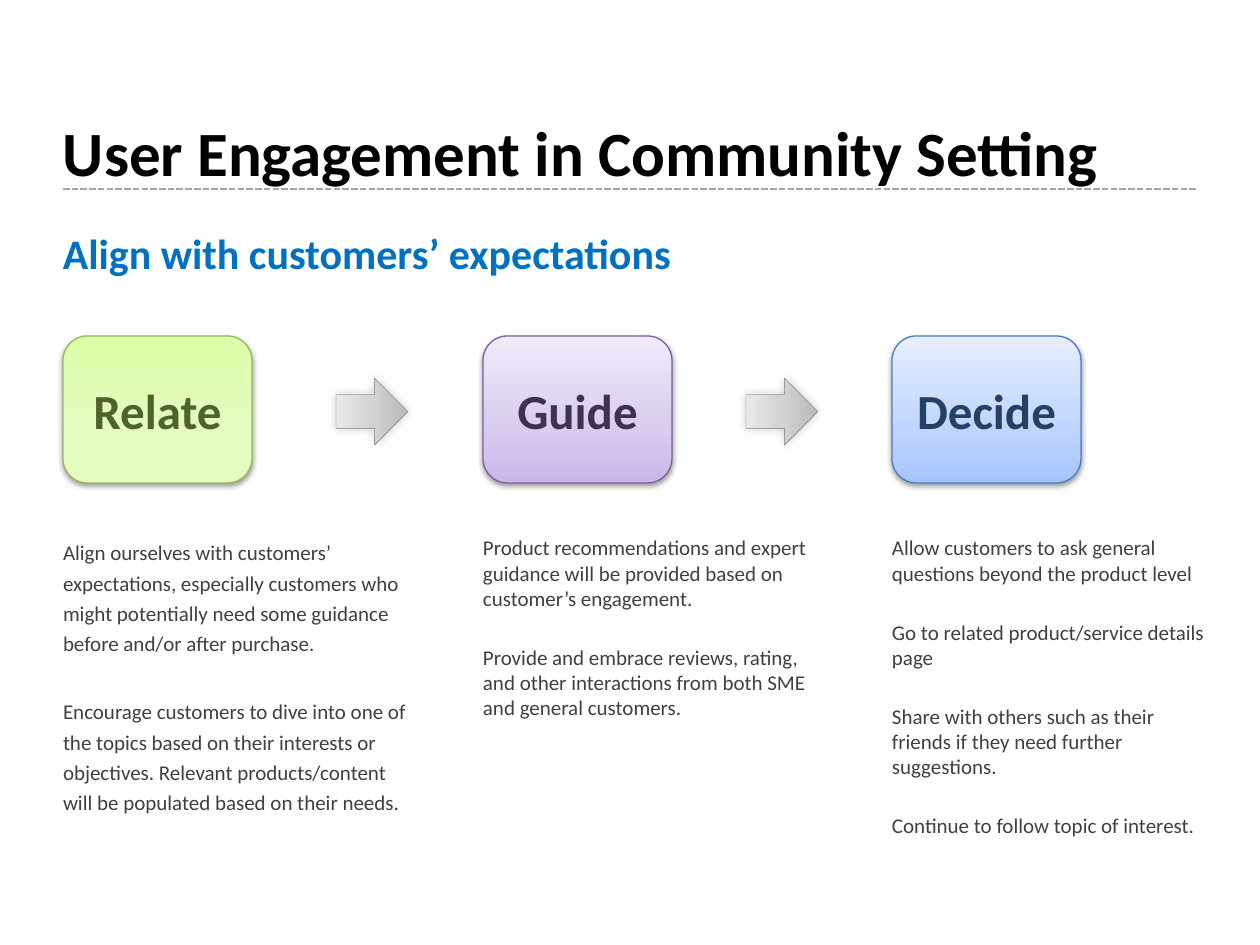
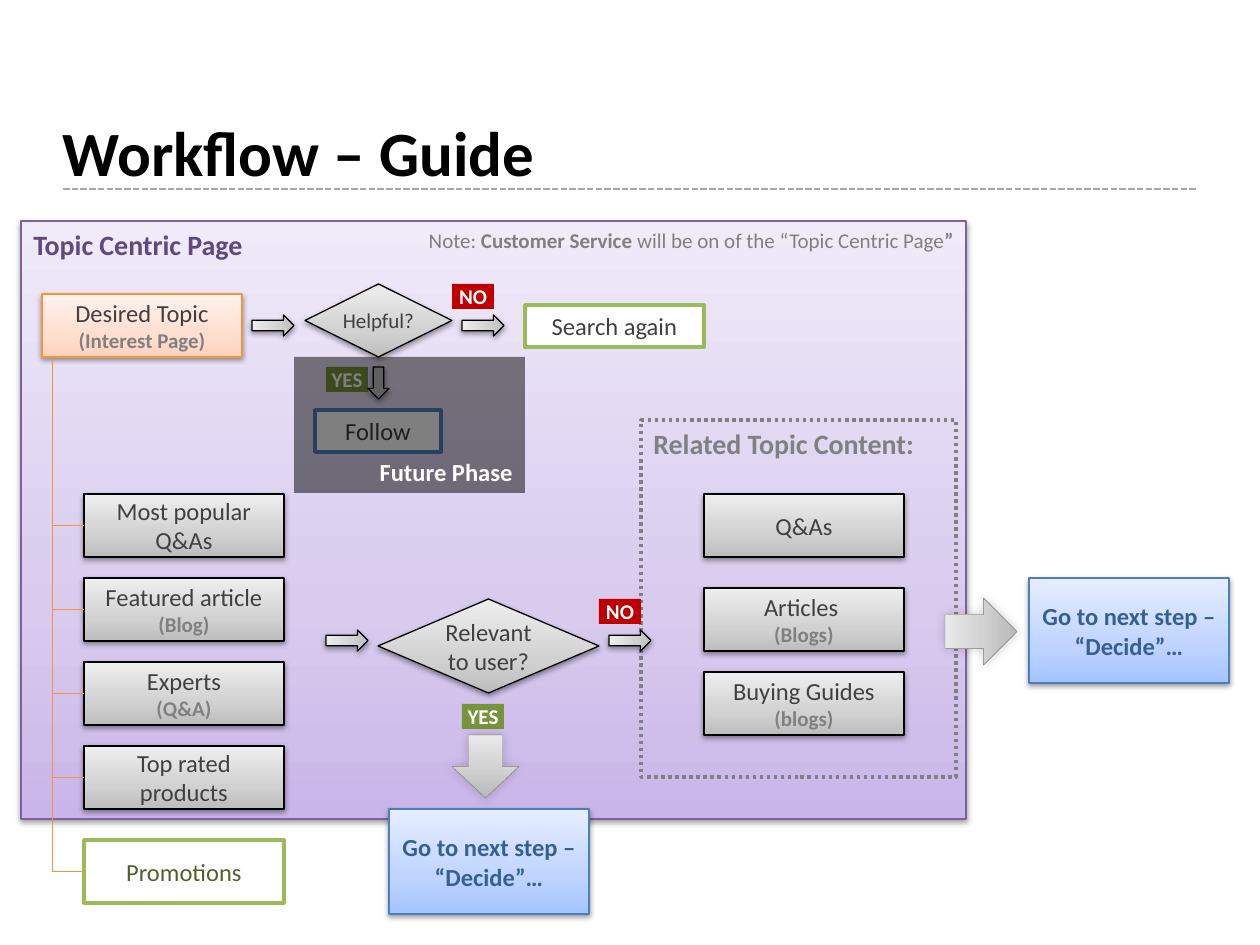
from collections import namedtuple

from lxml import etree
from pptx import Presentation
from pptx.dml.color import RGBColor
from pptx.enum.dml import MSO_LINE
from pptx.enum.shapes import MSO_CONNECTOR, MSO_SHAPE
from pptx.enum.text import MSO_ANCHOR, PP_ALIGN
from pptx.oxml.ns import qn
from pptx.util import Emu, Inches, Pt

RECT, ROUNDED = MSO_SHAPE.RECTANGLE, MSO_SHAPE.ROUNDED_RECTANGLE
DECISION, DOWN_ARROW = MSO_SHAPE.FLOWCHART_DECISION, MSO_SHAPE.DOWN_ARROW
STRAIGHT = MSO_CONNECTOR.STRAIGHT
DASHED, DOTTED = MSO_LINE.SQUARE_DOT, MSO_LINE.ROUND_DOT
LEFT, CENTER, RIGHT = PP_ALIGN.LEFT, PP_ALIGN.CENTER, PP_ALIGN.RIGHT
TOP, MIDDLE, BOTTOM = MSO_ANCHOR.TOP, MSO_ANCHOR.MIDDLE, MSO_ANCHOR.BOTTOM

SCALE = 914400 / 126
FONT = "Calibri"
WHITE, BLACK, DARK, GRAY = "FFFFFF", "000000", "404040", "808080"
PURPLE_EDGE, BLUE_EDGE, ORANGE, GREEN = "7D60A0", "4B7EBC", "F69240", "9BBB59"
YES_GREEN, NO_RED = "77933C", "C00000"
GREEN_FADE = ((35, "E4FCC2"), (100, "DAFDA7"), (100, "F5FFE7"))
PURPLE_FADE = ((0, "C9B5E8"), (35, "D8CBEE"), (100, "F0EAF9"))
BLUE_FADE = ((0, "A4C4FF"), (35, "BFD4FF"), (100, "E6EEFF"))
ORANGE_FADE = ((0, "FFD2BD"), (35, "FFDED0"), (100, "FFF2ED"))
GRAY_FADE = ((0, "BDBDBD"), (35, "D1D1D1"), (100, "EEEEEE"))
ARROW_FADE = ((0, "B8B8B8"), (50, "D3D3D3"), (100, "E9E9E9"))

Shadow = namedtuple("Shadow", "opacity blur distance angle")
DROP = Shadow(38, 3.15, 1.57, 90)
HALO = Shadow(20, 6, 0, 225)

Style = namedtuple("Style", "size color bold", defaults=(False,))
TITLE, SUBTITLE = Style(36, BLACK, True), Style(24, "0070C0", True)
BODY, LABEL = Style(12, DARK), Style(14, DARK)
DETAIL, TAG = Style(12, GRAY, True), Style(12, WHITE, True)
NOTE = Style(12, GRAY)

NO_INSETS = (0, 0, 0, 0)
HEADING_INSETS = (0, 0.05, 0.1, 0.05)
INSETS = (0.1, 0.05, 0.1, 0.05)


def px(length):
    """Turn pixels into EMU."""
    return Emu(round(length * SCALE))


def rgb(value):
    """Turn a hex string into a colour."""
    return RGBColor.from_string(value)


def add_color(parent, value, opacity=None):
    """Append a colour element, with opacity in percent if given."""
    color = etree.SubElement(parent, qn("a:srgbClr"), val=value)
    if opacity is not None:
        etree.SubElement(color, qn("a:alpha"), val=str(opacity * 1000))


def paint(shape, fill):
    """Fill with a gradient (tuple of stops), a colour or nothing."""
    if fill is None:
        shape.fill.background()
    elif isinstance(fill, str):
        shape.fill.solid()
        shape.fill.fore_color.rgb = rgb(fill)
    else:
        shape.fill.gradient()
        shape.fill.gradient_angle = 90
        stops = shape._element.spPr.find(".//" + qn("a:gsLst"))
        for stop in list(stops):
            stops.remove(stop)
        for position, color in fill:
            add_color(etree.SubElement(stops, qn("a:gs"), pos=str(position * 1000)), color)


def cast(shape, shadow):
    """Replace the theme shadow by the given one, or by none."""
    shape.shadow.inherit = False
    if shadow:
        effects = shape._element.spPr.find(qn("a:effectLst"))
        outer = etree.SubElement(
            effects, qn("a:outerShdw"), blurRad=str(Pt(shadow.blur)),
            dist=str(Pt(shadow.distance)), dir=str(shadow.angle * 60000), rotWithShape="0")
        add_color(outer, BLACK, shadow.opacity)


def add_block(slide, box, kind=RECT, fill=None, edge=None, width=0.75, shadow=None):
    """Draw a preset shape in a pixel box."""
    shape = slide.shapes.add_shape(kind, *map(px, box))
    paint(shape, fill)
    if edge:
        shape.line.color.rgb = rgb(edge)
        shape.line.width = Pt(width)
    else:
        shape.line.fill.background()
    cast(shape, shadow)
    return shape


def set_font(font, style):
    """Apply a text style."""
    font.name, font.size, font.bold = FONT, Pt(style.size), style.bold
    font.color.rgb = rgb(style.color)


def write(shape, paragraphs, align=CENTER, anchor=MIDDLE, insets=INSETS, gap=0, leading=None):
    """Write paragraphs, each a list of (text, style) runs."""
    frame = shape.text_frame
    frame.word_wrap, frame.vertical_anchor = True, anchor
    (frame.margin_left, frame.margin_top,
     frame.margin_right, frame.margin_bottom) = map(Inches, insets)
    for index, runs in enumerate(paragraphs):
        paragraph = frame.add_paragraph() if index else frame.paragraphs[0]
        paragraph.alignment = align
        if index and gap:
            paragraph.space_before = Pt(gap)
        if leading:
            paragraph.line_spacing = leading
        for text, style in runs:
            run = paragraph.add_run()
            run.text = text
            set_font(paragraph.font if len(runs) == 1 else run.font, style)


def add_text(slide, box, paragraphs, **layout):
    """Place a text box in a pixel box."""
    write(slide.shapes.add_textbox(*map(px, box)), paragraphs, **layout)


def add_line(slide, start, end, color, width=0.75, dash=None):
    """Draw a straight line between two pixel points."""
    line = slide.shapes.add_connector(STRAIGHT, *map(px, start + end))
    line.line.color.rgb = rgb(color)
    line.line.width = Pt(width)
    if dash:
        line.line.dash_style = dash
    etree.SubElement(line._element.spPr, qn("a:effectLst"))


def add_heading(slide, box, text, style):
    """Place a bottom-aligned heading."""
    add_text(slide, box, [[(text, style)]], align=LEFT, anchor=BOTTOM, insets=HEADING_INSETS)


def add_titled_slide(deck, title):
    """Add a blank slide with the shared rule and title."""
    slide = deck.slides.add_slide(deck.slide_layouts[6])
    add_line(slide, (63, 189), (1197, 189), "A6A6A6", 1.25, DASHED)
    add_heading(slide, (63, 38, 1134, 157), title, TITLE)
    return slide


def add_arrow(slide, box, right=True, fill=GRAY_FADE, edge=BLACK, width=0.75, shadow=DROP):
    """Draw an arrow that covers the box, pointing right or down."""
    x, y, w, h = box
    if right:
        box = (x + (w - h) / 2, y + (h - w) / 2, h, w)
    arrow = add_block(slide, box, DOWN_ARROW, fill, edge, width, shadow)
    if right:
        arrow.rotation = 270


def add_big_arrow(slide, box, right=True):
    """Draw a soft grey step arrow."""
    add_arrow(slide, box, right, ARROW_FADE, GRAY, 0.25, HALO)


def add_stage(slide, box, name, look, body, gap, leading):
    """Draw one stage: a rounded card above its description."""
    x, y, w, h = box
    fill, edge, color = look
    card = add_block(slide, (x, y, 189, 147), ROUNDED, fill, edge, shadow=DROP)
    write(card, [[(name, Style(28, color, True))]])
    add_text(slide, (x, y + 199, w, h - 199), [[(text, BODY)] for text in body],
             align=LEFT, anchor=TOP, insets=NO_INSETS, gap=gap, leading=leading)


def add_node(slide, box, paragraphs, fill=GRAY_FADE, edge=BLACK):
    """Draw a shaded workflow box."""
    write(add_block(slide, box, RECT, fill, edge, shadow=DROP), paragraphs)


def add_outlined(slide, box, text, edge, color=DARK):
    """Draw a white workflow box with a thick outline."""
    write(add_block(slide, box, RECT, WHITE, edge, 2), [[(text, Style(14, color))]])


def add_decision(slide, box, question, size):
    """Draw a decision diamond."""
    diamond = add_block(slide, box, DECISION, GRAY_FADE, BLACK, shadow=DROP)
    write(diamond, [[(question, Style(size, DARK))]], insets=NO_INSETS)


def add_answer(slide, x, y, text, fill):
    """Draw a YES or NO tag."""
    write(add_block(slide, (x, y, 42, 25), fill=fill), [[(text, TAG)]], insets=NO_INSETS)


def add_next_step(slide, x, y):
    """Draw the box that leads to the next stage."""
    add_node(slide, (x, y, 200, 105),
             [[("Go to next step – “Decide”…", Style(14, "376092", True))]], BLUE_FADE, BLUE_EDGE)


def add_panel(slide, box):
    """Draw the purple page panel."""
    panel = add_block(slide, box, RECT, PURPLE_FADE, PURPLE_EDGE, shadow=DROP)
    write(panel, [[("Topic Centric Page", Style(16, "604A7B", True))]], LEFT, TOP)


def add_topic_list(slide, box):
    """Draw the topic, its tree of content boxes and the promotions."""
    x, y, w, _ = box
    add_node(slide, (x, y, w, 63), [[("Desired Topic", LABEL)], [("(Interest Page)", DETAIL)]],
             ORANGE_FADE, ORANGE)
    contents = (
        [[("Most popular Q&As", LABEL)]],
        [[("Featured article ", LABEL), ("(Blog)", DETAIL)]],
        [[("Experts", LABEL)], [("(Q&A)", DETAIL)]],
        [[("Top rated products", LABEL)]],
    )
    tops = [y + 200 + 84 * row for row in range(len(contents))]
    for top, paragraphs in zip(tops, contents):
        add_node(slide, (x + 42, top, w, 63), paragraphs)
    promotions = y + 546
    add_outlined(slide, (x + 42, promotions, w, 63), "Promotions", GREEN, "4F6228")
    trunk = x + 10.5
    add_line(slide, (trunk, y + 63), (trunk, promotions + 31.5), ORANGE)
    for top in tops + [promotions]:
        add_line(slide, (x + 42, top + 31.5), (trunk, top + 31.5), ORANGE)


def add_related_content(slide, box):
    """Draw the dotted region of related content."""
    x, y, _, _ = box
    region = add_block(slide, box, edge=GRAY, width=2)
    region.line.dash_style = DOTTED
    write(region, [[("Related Topic Content:", Style(16, GRAY, True))]], LEFT, TOP)
    for offset, lines in ((74, ("Q&As",)), (168, ("Articles ", "(Blogs)")),
                          (252, ("Buying Guides", "(blogs)"))):
        add_node(slide, (x + 63, y + offset, 200, 63),
                 [[run] for run in zip(lines, (LABEL, DETAIL))])


def add_relevance_check(slide, box):
    """Draw the relevance decision with its arrows and answers."""
    x, y, w, h = box
    add_arrow(slide, (x - 52, y + 31, 42, 21))
    add_decision(slide, box, "Relevant to user?", 14)
    add_answer(slide, x + w, y, "NO", NO_RED)
    add_arrow(slide, (x + w + 10, y + 31, 42, 21))
    add_answer(slide, x + 84, y + h + 11, "YES", YES_GREEN)
    add_big_arrow(slide, (x + 74, y + h + 42, 67, 63), right=False)


def add_helpful_check(slide, box):
    """Draw the helpfulness decision and the shaded future phase."""
    x, y, w, h = box
    add_arrow(slide, (x - 53, y + 31, 42, 21))
    add_decision(slide, box, "Helpful?", 12)
    add_answer(slide, x + 21, y + h + 10, "YES", YES_GREEN)
    add_answer(slide, x + w, y, "NO", NO_RED)
    add_arrow(slide, (x + w + 10, y + 31, 42, 21))
    add_arrow(slide, (x + 63, y + h + 10, 21, 32), right=False, fill="BFBFBF")
    add_outlined(slide, (x + 10, y + 126, 126, 42), "Follow", "4F81BD")
    add_outlined(slide, (x + w + 73, y + 21, 179, 42), "Search again", GREEN)
    shade = add_block(slide, (x - 11, y + h, 231, 136), fill=BLACK)
    color = shade._element.spPr.find(qn("a:solidFill"))[0]
    etree.SubElement(color, qn("a:alpha"), val="50000")
    write(shade, [[("Future Phase", Style(14, WHITE, True))]], RIGHT, BOTTOM)


def build_engagement(deck):
    """Build the slide with the three stages."""
    slide = add_titled_slide(deck, "User Engagement in Community Setting")
    add_heading(slide, (63, 210, 1134, 74), "Align with customers’ expectations", SUBTITLE)
    add_stage(slide, (63, 336, 347, 609), "Relate", (GREEN_FADE, "98B955", "4F6228"), (
        "Align ourselves with customers’ expectations, especially customers who might "
        "potentially need some guidance before and/or after purchase.",
        "Encourage customers to dive into one of the topics based on their interests or "
        "objectives. Relevant products/content will be populated based on their needs.",
    ), 21.8, 1.2)
    add_stage(slide, (483, 336, 325, 514), "Guide", (PURPLE_FADE, PURPLE_EDGE, "403152"), (
        "Product recommendations and expert guidance will be provided based on "
        "customer’s engagement.",
        "Provide and embrace reviews, rating, and other interactions from both SME and "
        "general customers.",
    ), 19.3, None)
    add_stage(slide, (892, 336, 325, 609), "Decide", (BLUE_FADE, BLUE_EDGE, "254061"), (
        "Allow customers to ask general questions beyond the product level",
        "Go to related product/service details page",
        "Share with others such as their friends if they need further suggestions.",
        "Continue to follow topic of interest.",
    ), 19.3, None)
    for x in (336, 746):
        add_big_arrow(slide, (x, 378, 72, 67))


def build_workflow(deck):
    """Build the slide with the guide workflow."""
    slide = add_titled_slide(deck, "Workflow – Guide")
    add_panel(slide, (21, 221, 945, 598))
    add_topic_list(slide, (42, 294, 200, 609))
    add_related_content(slide, (641, 420, 315, 357))
    add_relevance_check(slide, (378, 599, 221, 94))
    add_big_arrow(slide, (945, 598, 72, 67))
    add_next_step(slide, 1029, 578)
    add_next_step(slide, 389, 809)
    add_helpful_check(slide, (305, 284, 147, 73))
    bold = NOTE._replace(bold=True)
    add_text(slide, (336, 221, 630, 38), [[
        ("Note: ", NOTE), ("Customer Service ", bold),
        ("will be on of the “Topic Centric Page", NOTE), ("”", bold)]], align=RIGHT, anchor=TOP)


presentation = Presentation()
presentation.slide_width, presentation.slide_height = px(1260), px(945)
build_engagement(presentation)
build_workflow(presentation)
presentation.save("out.pptx")
